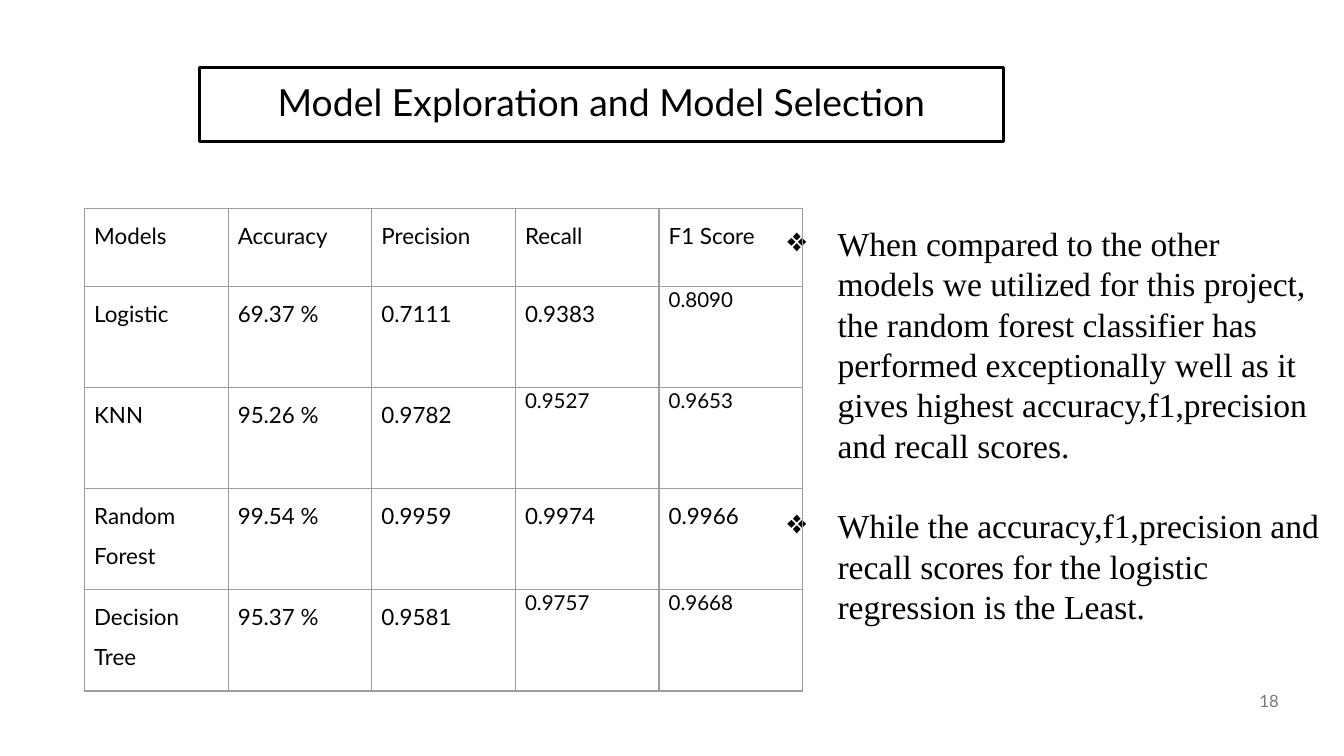
"""Build the slide on model choice with its score table and two findings."""
import dataclasses

import lxml.etree
import pptx
import pptx.dml.color
import pptx.enum.shapes
import pptx.enum.text
import pptx.oxml.ns
import pptx.util

Cm = pptx.util.Cm
Pt = pptx.util.Pt
Align = pptx.enum.text.PP_ALIGN
Anchor = pptx.enum.text.MSO_ANCHOR
qn = pptx.oxml.ns.qn


@dataclasses.dataclass(frozen=True)
class Theme:
    ink: str = "000000"
    pale: str = "797979"
    grid: str = "9E9E9E"
    sans: str = "Lato"
    serif: str = "Times New Roman"
    head: int = 20
    body: int = 18
    cell: int = 12
    small: int = 11
    foot: int = 9


def tint(code):
    return pptx.dml.color.RGBColor.from_string(code)


def write(para, text, font, size, color, align=Align.LEFT, line=None, above=None):
    para.alignment = align
    if line:
        para.line_spacing = line
    if above:
        para.space_before = Pt(above)
    run = para.add_run()
    run.text = text
    run.font.name = font
    run.font.size = Pt(size)
    run.font.color.rgb = tint(color)


def mark(para, sign, indent):
    props = para._p.get_or_add_pPr()
    props.set("marL", str(indent))
    props.set("indent", str(-indent))
    lxml.etree.SubElement(props, qn("a:buChar"), char=sign)


def edge(cell, color, width):
    props = cell._tc.get_or_add_tcPr()
    for spot, side in enumerate(("lnL", "lnR", "lnT", "lnB")):
        line = lxml.etree.Element(qn(f"a:{side}"), w=str(Pt(width)))
        fill = lxml.etree.SubElement(line, qn("a:solidFill"))
        lxml.etree.SubElement(fill, qn("a:srgbClr"), val=color)
        props.insert(spot, line)


class Deck:
    def __init__(self, theme, wide, high):
        self.theme = theme
        self.file = pptx.Presentation()
        self.file.slide_width = Cm(wide)
        self.file.slide_height = Cm(high)
        self.slide = self.file.slides.add_slide(self.file.slide_layouts[6])

    def frame(self, shape, pad=0.25):
        frame = shape.text_frame
        frame.word_wrap = True
        frame.vertical_anchor = Anchor.MIDDLE
        frame.margin_left = frame.margin_right = Cm(pad)
        frame.margin_top = frame.margin_bottom = Cm(pad)
        return frame.paragraphs[0]

    def title(self, text, *box):
        rect = pptx.enum.shapes.MSO_SHAPE.RECTANGLE
        shape = self.slide.shapes.add_shape(rect, *map(Cm, box))
        shape.shadow.inherit = False
        shape.fill.background()
        shape.line.color.rgb = tint(self.theme.ink)
        shape.line.width = Pt(1.5)
        write(self.frame(shape), text, self.theme.sans, self.theme.head,
              self.theme.ink, align=Align.CENTER, line=0.9)

    def number(self, text, *box):
        shape = self.slide.shapes.add_textbox(*map(Cm, box))
        write(self.frame(shape), text, self.theme.sans, self.theme.foot,
              self.theme.pale, align=Align.CENTER)

    def list(self, items, *box):
        frame = self.slide.shapes.add_textbox(*map(Cm, box)).text_frame
        frame.word_wrap = True
        for rank, item in enumerate(items):
            para = frame.add_paragraph() if rank else frame.paragraphs[0]
            write(para, item, self.theme.serif, self.theme.body, self.theme.ink,
                  above=21.6 if rank else None)
            mark(para, "❖", Cm(0.95))

    def table(self, rows, small, left, top, wide, highs):
        count = len(rows[0])
        shape = self.slide.shapes.add_table(
            len(rows), count, Cm(left), Cm(top), Cm(wide), Cm(sum(highs)))
        table = shape.table
        table.first_row = table.horz_banding = False
        for col in table.columns:
            col.width = Cm(wide / count)
        for y, (row, high) in enumerate(zip(rows, highs)):
            table.rows[y].height = Cm(high)
            for x, text in enumerate(row):
                cell = table.cell(y, x)
                cell.margin_left = cell.margin_right = Cm(0.18)
                cell.margin_top = cell.margin_bottom = 0
                cell.fill.background()
                edge(cell, self.theme.grid, 0.75)
                tiny = (y, x) in small
                write(cell.text_frame.paragraphs[0], text, self.theme.sans,
                      self.theme.small if tiny else self.theme.cell,
                      self.theme.ink, line=1 if tiny else 1.5,
                      align=Align.LEFT if x and y else Align.JUSTIFY)


SCORES = [
    ["Models", "Accuracy", "Precision", "Recall", "F1 Score"],
    ["Logistic", "69.37 %", "0.7111", "0.9383", "0.8090"],
    ["KNN", "95.26 %", "0.9782", "0.9527", "0.9653"],
    ["Random Forest", "99.54 %", "0.9959", "0.9974", "0.9966"],
    ["Decision Tree", "95.37 %", "0.9581", "0.9757", "0.9668"],
]
SMALL = {(1, 4), (2, 3), (2, 4), (4, 3), (4, 4)}
NOTES = [
    "When compared to the other models we utilized for this project, "
    "the random forest classifier has performed exceptionally well as it "
    "gives highest accuracy,f1,precision and recall scores.",
    "While the accuracy,f1,precision and recall scores for the logistic "
    "regression is the Least.",
]


def main():
    deck = Deck(Theme(), 25.4, 14.29)
    deck.number("18", 23.4, 12.8, 1.17, 0.91)
    deck.title("Model Exploration and Model Selection", 3.77, 1.28, 15.2, 1.4)
    deck.list(NOTES, 14.63, 4.09, 10.58, 8.56)
    deck.table(SCORES, SMALL, 1.6, 3.94, 13.57, [1.48] + [1.91] * 4)
    deck.file.save("out.pptx")


if __name__ == "__main__":
    main()
